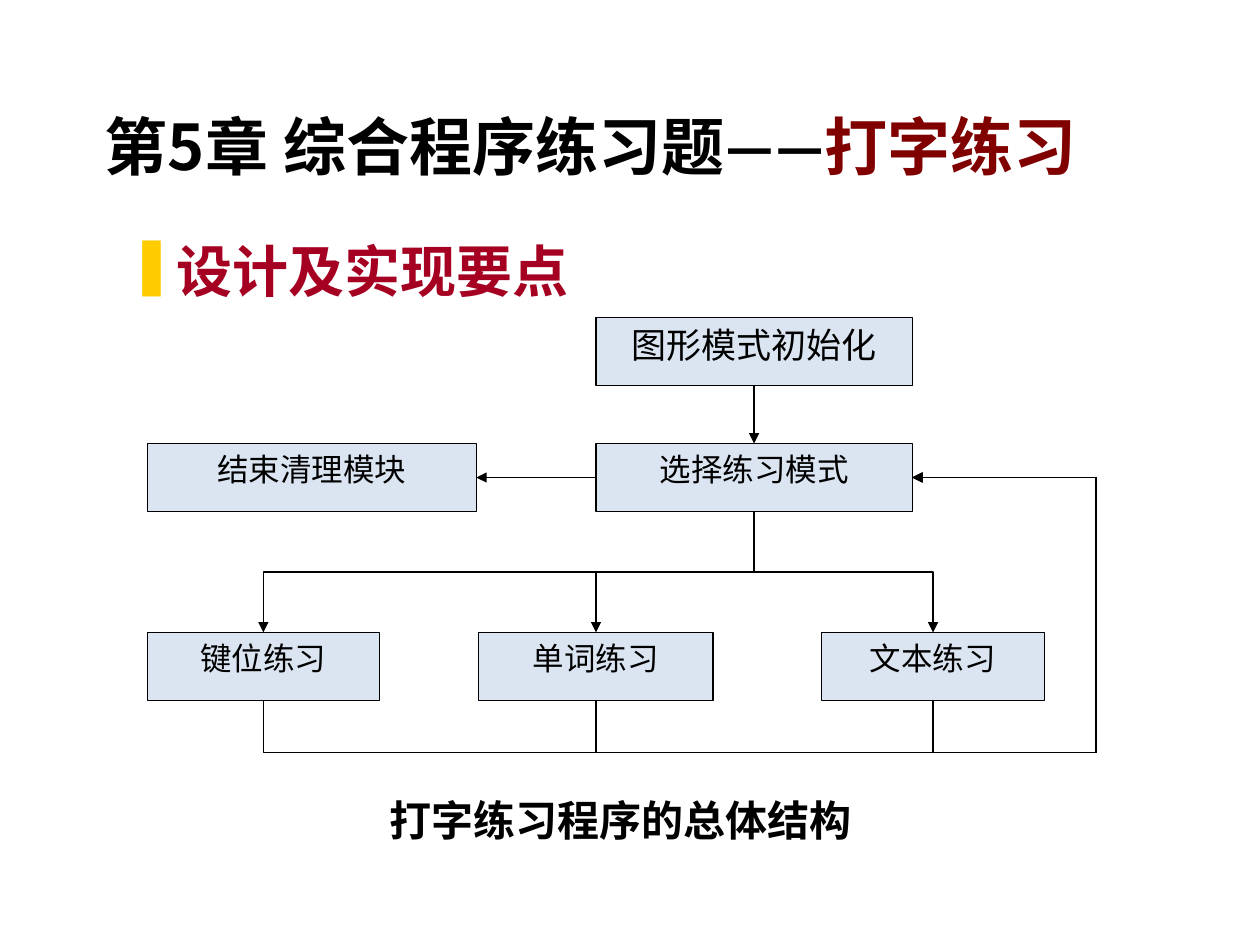
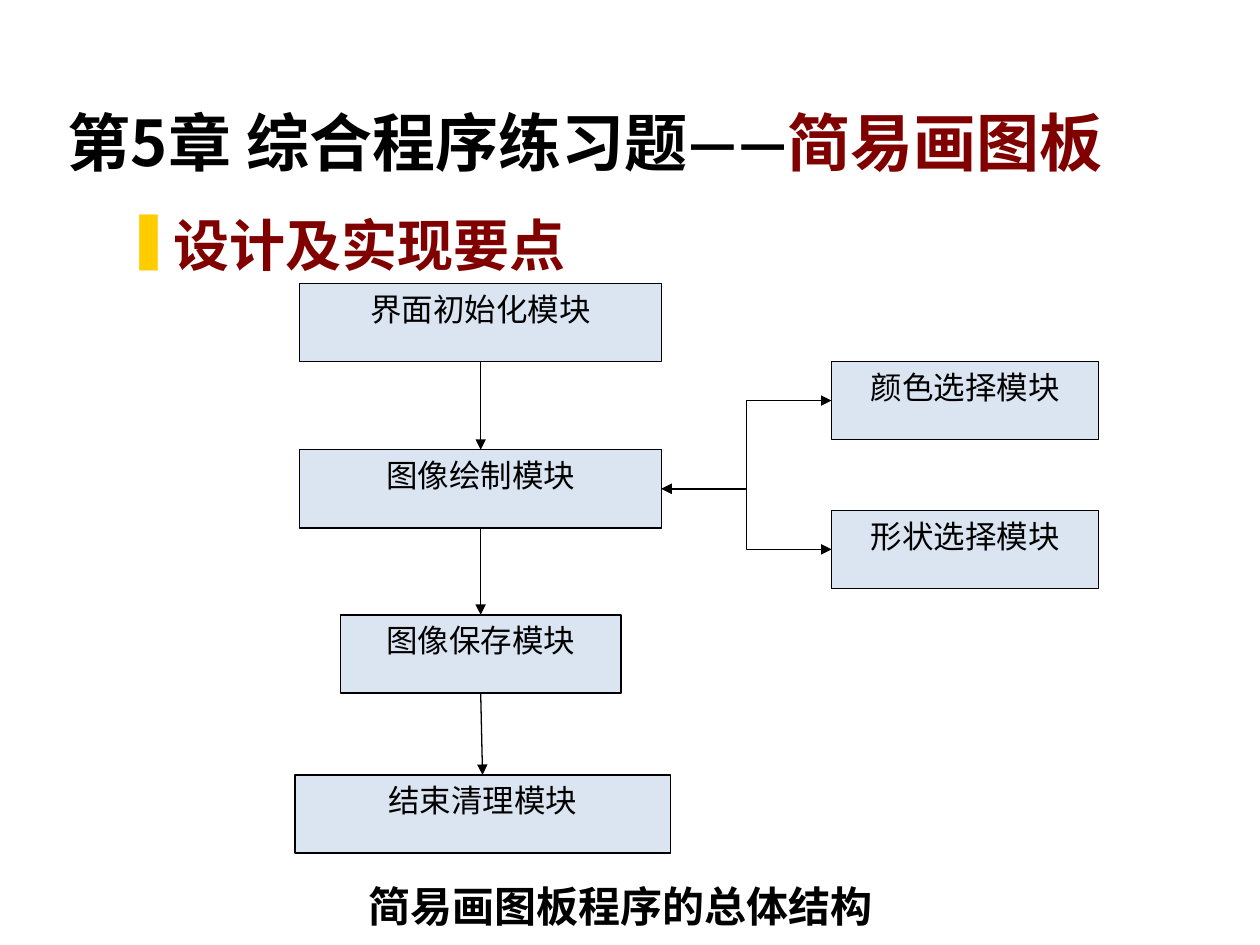
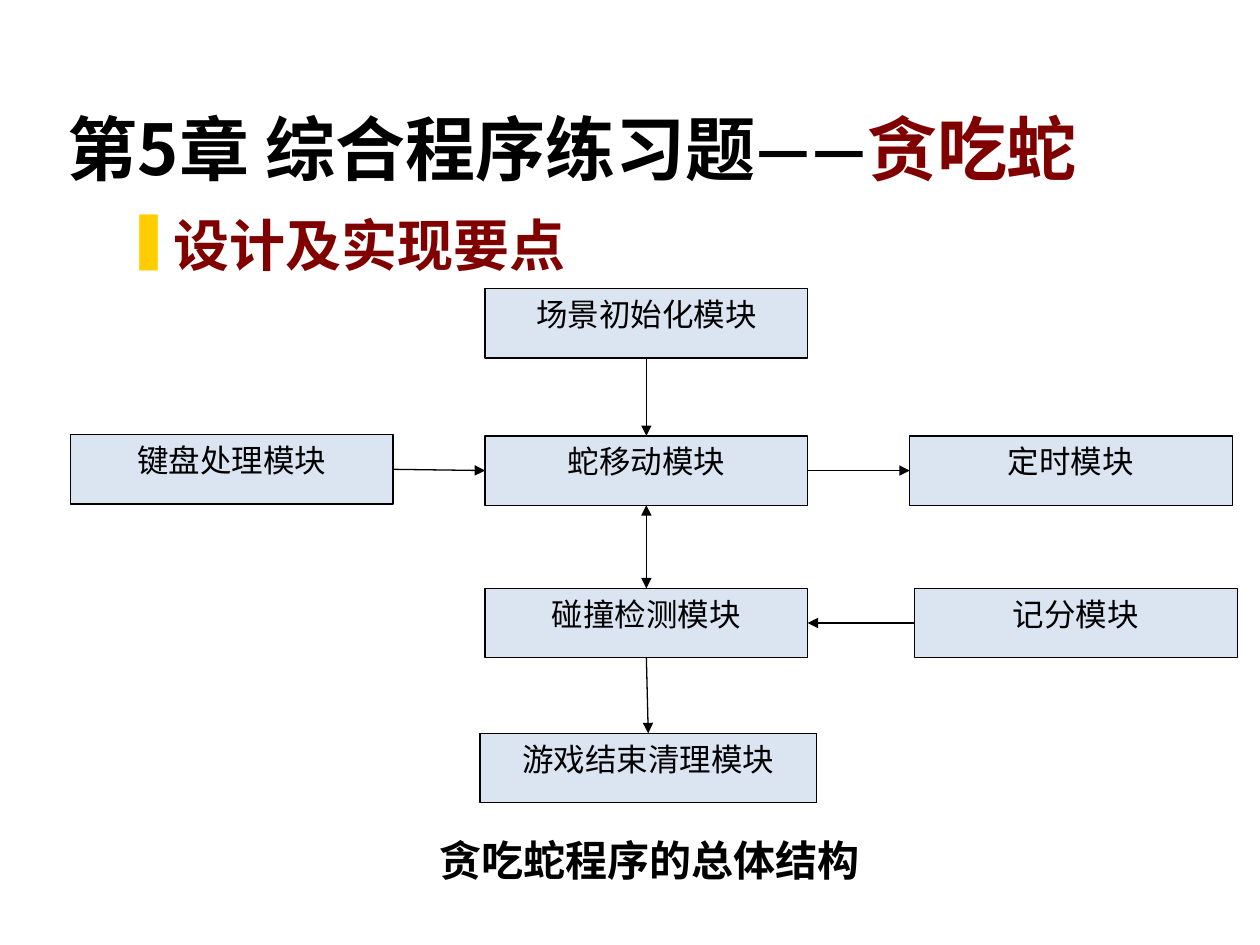
from dataclasses import dataclass
from enum import IntEnum

from lxml.etree import SubElement
from pptx import Presentation
from pptx.dml.color import RGBColor
from pptx.enum.shapes import MSO_CONNECTOR, MSO_SHAPE
from pptx.enum.text import MSO_ANCHOR, PP_ALIGN
from pptx.oxml.ns import qn
from pptx.util import Inches, Pt

COLUMNS, ROWS = 100, 75


class Side(IntEnum):
    TOP = 0
    LEFT = 1
    BOTTOM = 2
    RIGHT = 3


@dataclass(frozen=True)
class Theme:
    ink: str = "000000"
    paper: str = "FFFFFF"
    topic: str = "800000"
    crimson: str = "A50021"
    bullet: str = "FFCC00"
    module: str = "DBE5F1"
    title_font: str = "Noto Sans CJK SC"
    heading_font: str = "Lato"
    body_font: str = "Times New Roman"
    east_asian_font: str = "Lato"
    title_size: int = 36
    large_title_size: int = 40
    heading_size: int = 32
    caption_size: int = 24
    large_module_size: int = 20
    module_size: int = 18
    line_width: float = 0.75
    bullet_indent: float = 0.38


THEME = Theme()


def rgb(value):
    return RGBColor.from_string(value)


class Deck:
    """Draws on the current slide; lengths are columns and rows of a 100 by 75 grid."""

    def __init__(self, theme):
        self.theme = theme
        self.presentation = Presentation()
        self.presentation.slide_width = Inches(10)
        self.presentation.slide_height = Inches(7.5)
        self.slide = None

    def new_slide(self):
        blank = self.presentation.slide_layouts[6]
        self.slide = self.presentation.slides.add_slide(blank)

    def column(self, count):
        return round(self.presentation.slide_width * count / COLUMNS)

    def row(self, count):
        return round(self.presentation.slide_height * count / ROWS)

    def area(self, left, top, width, height):
        return self.column(left), self.row(top), self.column(width), self.row(height)

    def style(self, paragraph, font_name, size, color, bold=False):
        font = paragraph.font
        font.name, font.size, font.bold = font_name, Pt(size), bold
        font.color.rgb = rgb(color)
        east_asian = SubElement(font._rPr, qn("a:ea"))
        east_asian.set("typeface", self.theme.east_asian_font)

    def text_box(self, area, anchor):
        frame = self.slide.shapes.add_textbox(*self.area(*area)).text_frame
        frame.word_wrap = True
        frame.vertical_anchor = anchor
        return frame.paragraphs[0]

    def title(self, topic, width, height, size, alignment=PP_ALIGN.LEFT):
        paragraph = self.text_box((4.4, 2.5, width, height), MSO_ANCHOR.BOTTOM)
        paragraph.alignment = alignment
        self.style(paragraph, self.theme.title_font, size, self.theme.ink, bold=True)
        paragraph.add_run().text = "第5章 综合程序练习题——"
        topic_run = paragraph.add_run()
        topic_run.text = topic
        topic_run.font.color.rgb = rgb(self.theme.topic)

    def heading(self, left, top, font_name, color):
        paragraph = self.text_box((left, top, 51.7, 6.9), MSO_ANCHOR.TOP)
        paragraph.text = "设计及实现要点"
        paragraph.alignment = PP_ALIGN.JUSTIFY
        properties = paragraph._p.get_or_add_pPr()
        indent = Inches(self.theme.bullet_indent)
        properties.set("marL", str(indent))
        properties.set("indent", str(-indent))
        bullet_color = SubElement(properties, qn("a:buClr"))
        SubElement(bullet_color, qn("a:srgbClr")).set("val", self.theme.bullet)
        SubElement(properties, qn("a:buChar")).set("char", "❚")
        self.style(paragraph, font_name, self.theme.heading_size, color, bold=True)

    def panel(self, preset, text, area, fill, line, size, bold=False):
        shape = self.slide.shapes.add_shape(preset, *self.area(*area))
        shape.shadow.inherit = False
        shape.fill.solid()
        shape.fill.fore_color.rgb = rgb(fill)
        shape.line.color.rgb = rgb(line)
        shape.line.width = Pt(self.theme.line_width)
        paragraph = shape.text_frame.paragraphs[0]
        paragraph.text = text
        paragraph.alignment = PP_ALIGN.CENTER
        self.style(paragraph, self.theme.body_font, size, self.theme.ink, bold)
        return shape

    def module(self, text, left, top, width, height, size=None):
        shape = self.panel(
            MSO_SHAPE.FLOWCHART_PROCESS, text, (left, top, width, height),
            self.theme.module, self.theme.ink, size or self.theme.module_size)
        shape.text_frame.word_wrap = True
        shape.text_frame.vertical_anchor = MSO_ANCHOR.TOP
        return shape

    def caption(self, text, left, top):
        shape = self.panel(
            MSO_SHAPE.RECTANGLE, text, (left, top, 42.5, 6.3),
            self.theme.paper, self.theme.paper, self.theme.caption_size, bold=True)
        shape.text_frame.word_wrap = False
        shape.text_frame.vertical_anchor = MSO_ANCHOR.MIDDLE

    def arrow(self, start, start_side, end, end_side,
              kind=MSO_CONNECTOR.STRAIGHT, both_ends=False):
        connector = self.slide.shapes.add_connector(kind, 0, 0, 0, 0)
        connector.begin_connect(start, start_side)
        connector.end_connect(end, end_side)
        connector.line.color.rgb = rgb(self.theme.ink)
        connector.line.width = Pt(self.theme.line_width)
        properties = connector._element.spPr
        line = properties.find(qn("a:ln"))
        for tag in ("a:headEnd", "a:tailEnd") if both_ends else ("a:tailEnd",):
            SubElement(line, qn(tag)).set("type", "triangle")
        SubElement(properties, qn("a:effectLst"))
        return connector

    def down(self, upper, lower, both_ends=False):
        self.arrow(upper, Side.BOTTOM, lower, Side.TOP, both_ends=both_ends)

    def turn_down(self, connector):
        """Make an elbow leave its start vertically; return its start, run and drift."""
        start_x, start_y = connector.begin_x, connector.begin_y
        drift, run = connector.end_x - start_x, connector.end_y - start_y
        connector.width, connector.height = abs(run), abs(drift)
        connector.left = round(start_x + (drift - abs(run)) / 2)
        connector.top = round(start_y + (run - abs(drift)) / 2)
        connector.rotation = 90
        connector._element.flipH = run < 0
        connector._element.flipV = drift > 0
        return start_x, start_y, run, drift

    def branch(self, upper, lower):
        self.turn_down(self.arrow(upper, Side.BOTTOM, lower, Side.TOP, MSO_CONNECTOR.ELBOW))

    def loop_back(self, start, end, rail_column, rail_row):
        """Lead from the bottom of start along two rails to the right side of end."""
        connector = self.arrow(start, Side.BOTTOM, end, Side.RIGHT, MSO_CONNECTOR.ELBOW)
        start_x, start_y, run, drift = self.turn_down(connector)
        geometry = connector._element.spPr.find(qn("a:prstGeom"))
        geometry.set("prst", "bentConnector4")
        bends = ((self.row(rail_row) - start_y) / run,
                 (self.column(rail_column) - start_x) / drift)
        for number, bend in enumerate(bends, 1):
            guide = SubElement(geometry.find(qn("a:avLst")), qn("a:gd"))
            guide.set("name", f"adj{number}")
            guide.set("fmla", f"val {round(bend * 100000)}")


def typing_slide(deck):
    theme = deck.theme
    deck.new_slide()
    deck.title("打字练习", 85, 12.5, theme.title_size, PP_ALIGN.CENTER)
    deck.heading(9.2, 18.3, theme.body_font, theme.crimson)
    height = 5.4
    setup = deck.module("图形模式初始化", 47.3, 25.2, 25.1, height, theme.large_module_size)
    choice = deck.module("选择练习模式", 47.3, 35.2, 25.1, height)
    exercises = [
        deck.module(text, left, 50.2, width, height)
        for text, left, width in (("键位练习", 11.7, 18.4),
                                  ("单词练习", 38, 18.6),
                                  ("文本练习", 65.2, 17.7))]
    cleanup = deck.module("结束清理模块", 11.7, 35.2, 26.1, height)
    deck.down(setup, choice)
    deck.arrow(choice, Side.LEFT, cleanup, Side.RIGHT)
    for exercise in exercises:
        deck.branch(choice, exercise)
        deck.loop_back(exercise, choice, 87, 59.7)
    deck.caption("打字练习程序的总体结构", 28, 61.9)


def drawing_slide(deck):
    theme = deck.theme
    deck.new_slide()
    deck.title("简易画图板", 88.9, 12.2, theme.title_size)
    deck.heading(9, 16.2, theme.heading_font, theme.topic)
    height = 6.2
    steps = [
        deck.module(text, left, top, width, height)
        for text, left, top, width in (("界面初始化模块", 23.8, 22.5, 28.7),
                                       ("图像绘制模块", 23.8, 35.7, 28.7),
                                       ("图像保存模块", 27, 48.8, 22.3),
                                       ("结束清理模块", 23.4, 61.5, 29.8))]
    for upper, lower in zip(steps, steps[1:]):
        deck.down(upper, lower)
    for text, top in (("颜色选择模块", 28.7), ("形状选择模块", 40.5)):
        option = deck.module(text, 66, top, 21.2, height)
        deck.arrow(steps[1], Side.RIGHT, option, Side.LEFT,
                   MSO_CONNECTOR.ELBOW, both_ends=True)
    deck.caption("简易画图板程序的总体结构", 28, 68.7)


def snake_slide(deck):
    theme = deck.theme
    deck.new_slide()
    deck.title("贪吃蛇", 91.2, 13, theme.large_title_size)
    deck.heading(9, 16.2, theme.heading_font, theme.topic)
    width, height = 25.6, 5.5
    setup = deck.module("场景初始化模块", 38.5, 22.9, width, height)
    movement = deck.module("蛇移动模块", 38.5, 34.6, width, height)
    keyboard = deck.module("键盘处理模块", 5.6, 34.5, width, height)
    collision = deck.module("碰撞检测模块", 38.5, 46.7, width, height)
    timer = deck.module("定时模块", 72.2, 34.6, width, height)
    cleanup = deck.module("游戏结束清理模块", 38.1, 58.2, 26.7, height)
    score = deck.module("记分模块", 72.6, 46.7, width, height)
    deck.down(setup, movement)
    deck.arrow(keyboard, Side.RIGHT, movement, Side.LEFT)
    deck.arrow(movement, Side.RIGHT, timer, Side.LEFT)
    deck.arrow(score, Side.LEFT, collision, Side.RIGHT)
    deck.down(movement, collision, both_ends=True)
    deck.down(collision, cleanup)
    deck.caption("贪吃蛇程序的总体结构", 30.3, 65.1)


def main():
    deck = Deck(THEME)
    for build_slide in (typing_slide, drawing_slide, snake_slide):
        build_slide(deck)
    deck.presentation.save("out.pptx")


if __name__ == "__main__":
    main()
